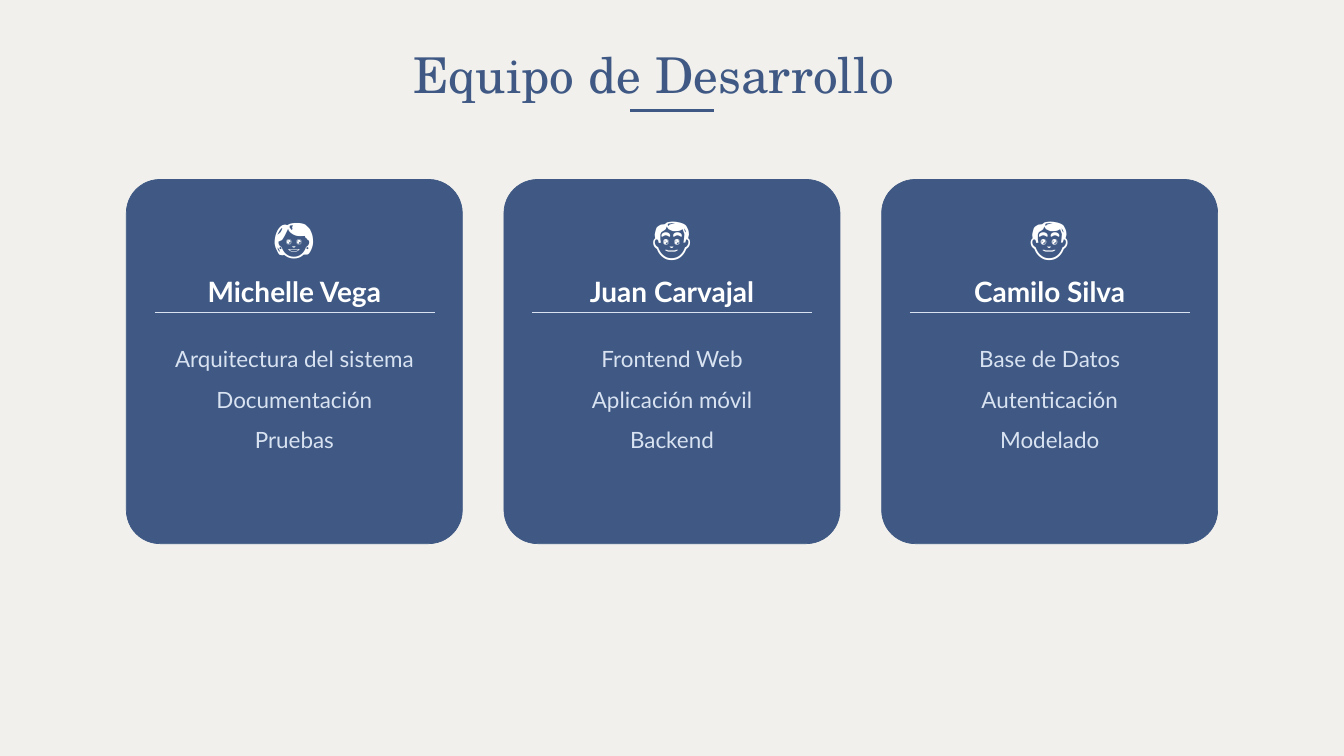
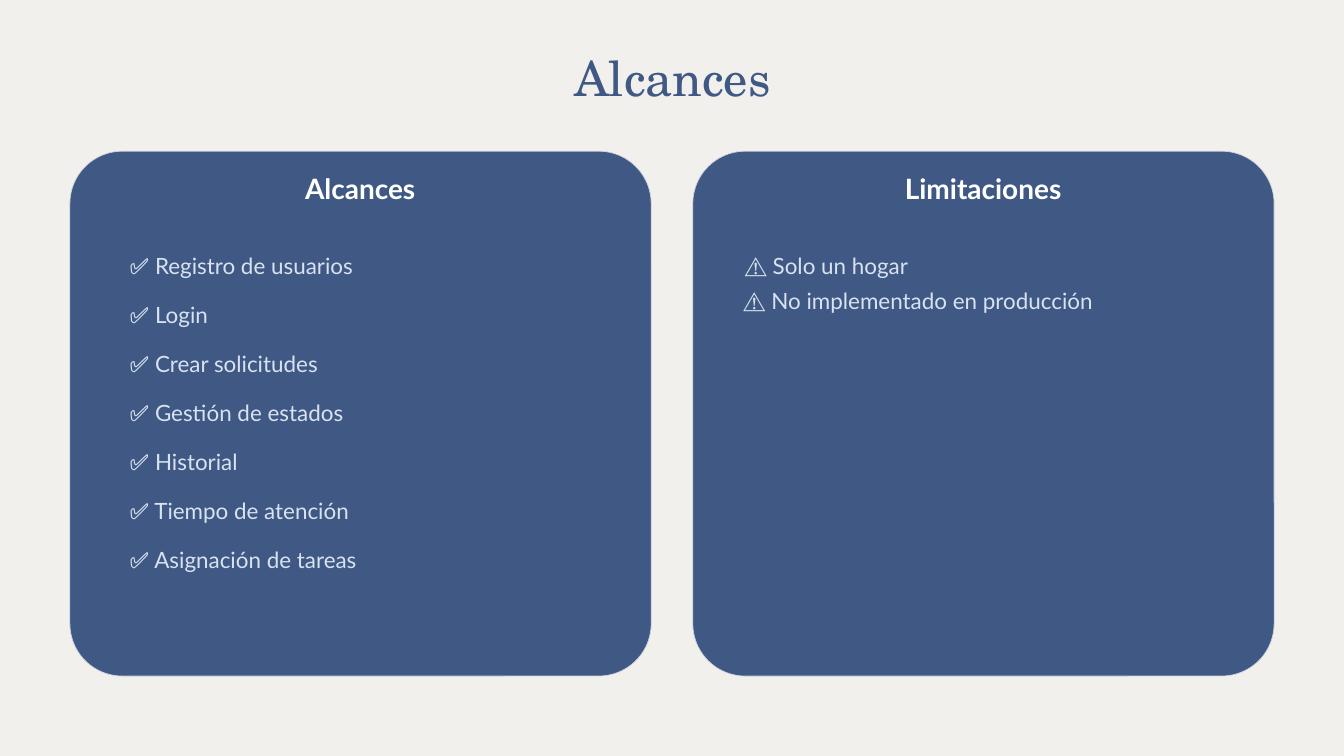
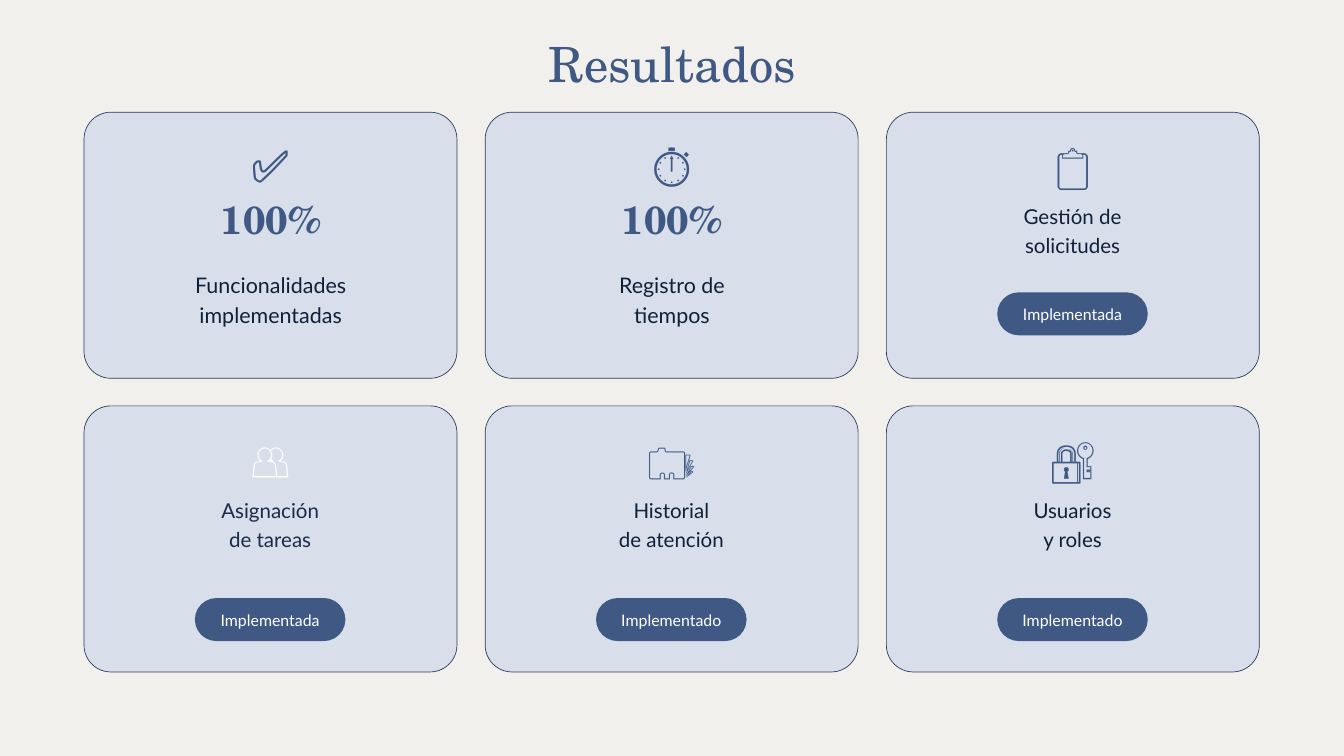
from dataclasses import dataclass
from typing import Optional

from pptx import Presentation
from pptx.dml.color import RGBColor
from pptx.enum.shapes import MSO_CONNECTOR, MSO_SHAPE
from pptx.enum.text import MSO_ANCHOR, MSO_AUTO_SIZE, PP_ALIGN
from pptx.oxml.ns import qn
from pptx.util import Inches, Pt
from lxml.etree import SubElement

COLOURS = {
    "paper": "F1F0ED",
    "navy": "3F5984",
    "pale": "D8E2F1",
    "white": "FFFFFF",
    "panel edge": "D0D5DD",
    "tile": "D8DFEA",
    "tile edge": "2A3A5A",
    "ink": "102039",
    "soft ink": "1A2A4A",
    "ghost": "FEFEFD",
}
SANS = "Lato"
SERIF = "TeX Gyre Schola"


@dataclass(frozen=True)
class Area:
    left: float
    top: float
    width: float
    height: float


@dataclass(frozen=True)
class Style:
    size: float
    leading: float
    colour: str
    font: str = SANS
    bold: bool = False
    align: PP_ALIGN = PP_ALIGN.CENTER


@dataclass(frozen=True)
class Member:
    icon: str
    name: str
    duties: list[str]


@dataclass(frozen=True)
class Panel:
    heading: str
    mark: str
    items: list[str]
    indents: list[float]
    step: float


@dataclass(frozen=True)
class Result:
    icon: str
    lines: list[str]
    status: str = ""
    figure: str = ""
    icon_colour: str = "navy"
    text_colour: str = "ink"


TITLE = Style(52, 57.2, "navy", SERIF)
TEAM_TITLE = Style(52.9, 74, "navy", SERIF, align=PP_ALIGN.LEFT)
HEADING = Style(30, 36, "white", bold=True)
DUTY = Style(24, 43.2, "pale")
ITEM = Style(24, 33.6, "pale", align=PP_ALIGN.LEFT)
PORTRAIT = Style(42, 58.8, "white")
FIGURE = Style(42, 46.2, "navy", SERIF, bold=True)
STATUS = Style(17, 23.8, "white")

TEAM = [
    Member("👩", "Michelle Vega", ["Arquitectura del sistema", "Documentación", "Pruebas"]),
    Member("👨", "Juan Carvajal", ["Frontend Web", "Aplicación móvil", "Backend"]),
    Member("👨", "Camilo Silva", ["Base de Datos", "Autenticación", "Modelado"]),
]
SCOPE = ["Registro de usuarios", "Login", "Crear solicitudes", "Gestión de estados",
         "Historial", "Tiempo de atención", "Asignación de tareas"]
LIMITS = ["Solo un hogar", "No implementado en producción"]
PANELS = [
    Panel("Alcances", "✅", SCOPE, [0.89] * len(SCOPE), 0.73),
    Panel("Limitaciones", "⚠", LIMITS, [0.77, 0.75], 0.53),
]
RESULTS = [
    Result("✅", ["Funcionalidades", "implementadas"], figure="100%"),
    Result("⏱", ["Registro de", "tiempos"], figure="100%"),
    Result("📋", ["Gestión de", "solicitudes"], "Implementada"),
    Result("👥", ["Asignación", "de tareas"], "Implementada",
           icon_colour="ghost", text_colour="soft ink"),
    Result("🗂", ["Historial", "de atención"], "Implementado"),
    Result("🔐", ["Usuarios", "y roles"], "Implementado"),
]


def rgb(name: str) -> RGBColor:
    return RGBColor.from_string(COLOURS[name])


def add_page(deck):
    page = deck.slides.add_slide(deck.slide_layouts[6])
    page.background.fill.solid()
    page.background.fill.fore_color.rgb = rgb("paper")
    return page


def add_text(page, area: Area, lines: list[str], style: Style, inset: Optional[float] = None) -> None:
    """Write lines in a box; an inset makes it a vertically centred label."""
    box = page.shapes.add_textbox(Inches(area.left), Inches(area.top),
                                  Inches(area.width), Inches(area.height))
    frame = box.text_frame
    frame.text = "\n".join(lines)
    frame.word_wrap = True
    if inset is None:
        frame.auto_size = MSO_AUTO_SIZE.SHAPE_TO_FIT_TEXT
    else:
        frame.vertical_anchor = MSO_ANCHOR.MIDDLE
    margin = Inches(inset or 0)
    frame.margin_left = frame.margin_right = margin
    frame.margin_top = frame.margin_bottom = margin
    for para in frame.paragraphs:
        para.alignment = style.align
        para.line_spacing = Pt(style.leading)
        for span in para.runs:
            span.font.name = style.font
            span.font.size = Pt(style.size)
            span.font.bold = style.bold
            span.font.color.rgb = rgb(style.colour)


def add_block(page, area: Area, fill: str, edge: str = "", radius: float = 0,
              kind: MSO_SHAPE = MSO_SHAPE.ROUNDED_RECTANGLE) -> None:
    block = page.shapes.add_shape(kind, Inches(area.left), Inches(area.top),
                                  Inches(area.width), Inches(area.height))
    block.shadow.inherit = False
    block.fill.solid()
    block.fill.fore_color.rgb = rgb(fill)
    if edge:
        block.line.color.rgb = rgb(edge)
        block.line.width = Pt(0.75)
    else:
        block.line.fill.background()
    if kind == MSO_SHAPE.ROUNDED_RECTANGLE:
        block.adjustments[0] = radius / min(area.width, area.height)


def add_rule(page, left: float, top: float, width: float, colour: str, weight: float) -> None:
    rule = page.shapes.add_connector(MSO_CONNECTOR.STRAIGHT, Inches(left), Inches(top),
                                     Inches(left + width), Inches(top))
    rule.line.color.rgb = rgb(colour)
    rule.line.width = Pt(weight)
    SubElement(rule._element.spPr, qn("a:effectLst"))


def add_member(page, left: float, member: Member) -> None:
    add_block(page, Area(left, 2.67, 5, 5.42), "navy", "navy", 0.5)
    add_block(page, Area(left + 2.08, 3.03, 0.83, 0.94), "navy", kind=MSO_SHAPE.OVAL)
    add_text(page, Area(left + 2.08, 2.96, 0.83, 1.01), [member.icon], PORTRAIT, 0.06)
    add_text(page, Area(left + 0.21, 4.08, 4.58, 0.49), [member.name], HEADING)
    add_rule(page, left + 0.42, 4.65, 4.17, "pale", 1.5)
    add_text(page, Area(left + 0.31, 4.94, 4.38, 1.74), member.duties, DUTY)


def add_panel(page, left: float, panel: Panel) -> None:
    add_block(page, Area(left, 2.25, 8.65, 7.81), "navy", "panel edge", 0.78)
    add_text(page, Area(left + 0.31, 2.55, 8.02, 0.49), [panel.heading], HEADING)
    for row, (item, indent) in enumerate(zip(panel.items, panel.indents)):
        area = Area(left + indent, 3.68 + row * panel.step, 7.81, 0.44)
        add_text(page, area, [f"{panel.mark} {item}"], ITEM)


def add_result(page, left: float, top: float, chip_top: float, result: Result) -> None:
    add_block(page, Area(left, top, 5.55, 3.96), "tile", "tile edge", 0.4)
    add_text(page, Area(left, top + 0.52, 5.55, 0.7), [result.icon],
             Style(48, 48, result.icon_colour))
    if result.figure:
        add_text(page, Area(left + 0.21, top + 1.29, 5.14, 0.65), [result.figure], FIGURE)
        add_text(page, Area(left + 0.21, top + 2.31, 5.14, 0.86), result.lines,
                 Style(23, 32.2, result.text_colour))
        return
    add_text(page, Area(left + 0.2, top + 1.31, 5.14, 0.83), result.lines,
             Style(22, 30.8, result.text_colour))
    add_block(page, Area(left + 1.65, chip_top, 2.24, 0.64), "navy", radius=0.32)
    add_text(page, Area(left + 1.65, chip_top - 0.03, 2.24, 0.66), [result.status], STATUS, 0.06)


def build_team(deck) -> None:
    page = add_page(deck)
    add_rule(page, 9.38, 1.64, 1.24, "navy", 3)
    add_text(page, Area(6.15, 0.51, 7.71, 0.99), ["Equipo de Desarrollo"], TEAM_TITLE)
    for column, member in enumerate(TEAM):
        add_member(page, 1.88 + column * 5.62, member)


def build_scope(deck) -> None:
    page = add_page(deck)
    add_text(page, Area(6.88, 0.79, 6.25, 0.8), ["Alcances"], TITLE)
    for column, panel in enumerate(PANELS):
        add_panel(page, 1.04 + column * 9.27, panel)


def build_results(deck) -> None:
    page = add_page(deck)
    add_text(page, Area(6.88, 0.58, 6.25, 0.8), ["Resultados"], TITLE)
    chip_tops = [4.35, 8.9]
    for index, result in enumerate(RESULTS):
        row, column = divmod(index, 3)
        add_result(page, 1.25 + column * 5.97, 1.67 + row * 4.37, chip_tops[row], result)


def main() -> None:
    deck = Presentation()
    deck.slide_width = Inches(20)
    deck.slide_height = Inches(11.25)
    build_team(deck)
    build_scope(deck)
    build_results(deck)
    deck.save("out.pptx")


if __name__ == "__main__":
    main()
